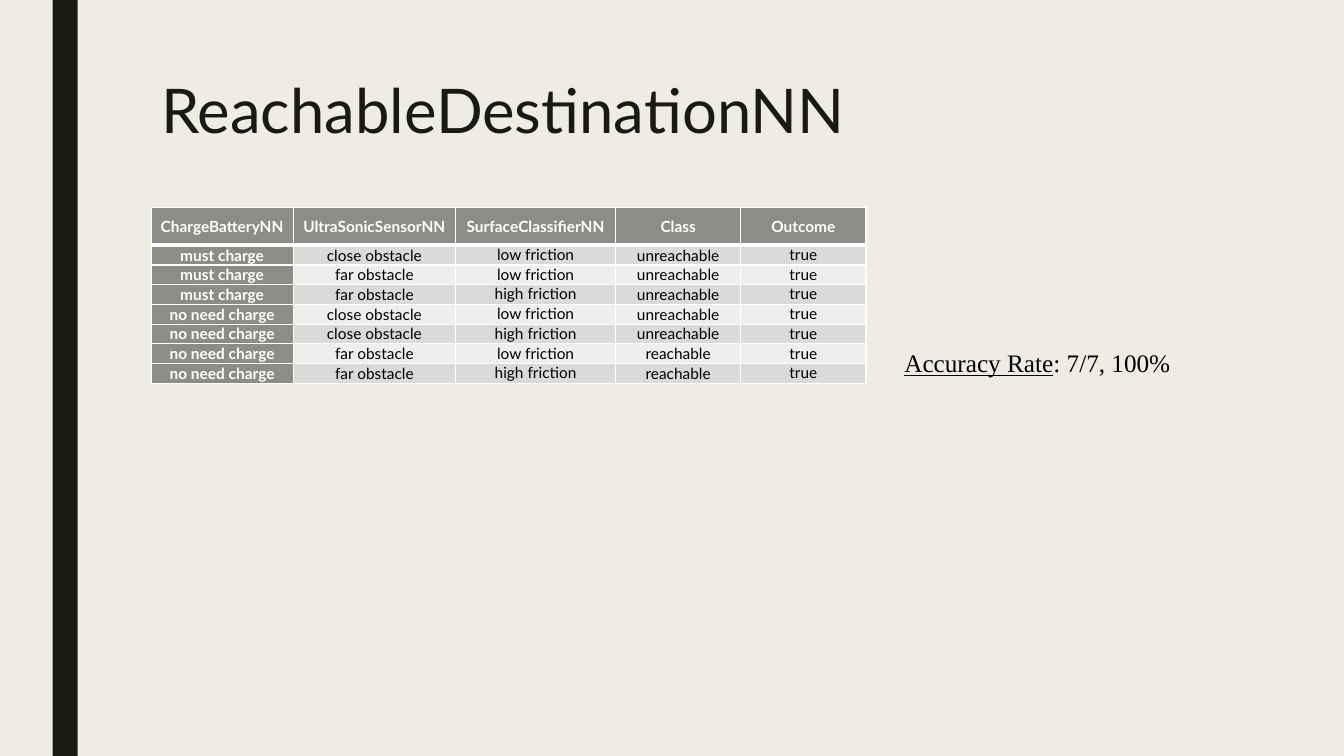
from dataclasses import dataclass

from lxml import etree
from pptx import Presentation
from pptx.dml.color import RGBColor
from pptx.enum.shapes import MSO_SHAPE
from pptx.enum.text import MSO_ANCHOR, MSO_AUTO_SIZE, PP_ALIGN
from pptx.oxml.ns import qn
from pptx.util import Emu, Inches, Pt

RECTANGLE = MSO_SHAPE.RECTANGLE
CENTER, LEFT = PP_ALIGN.CENTER, PP_ALIGN.LEFT
TOP, MIDDLE = MSO_ANCHOR.TOP, MSO_ANCHOR.MIDDLE
NO_AUTOFIT, GROW = MSO_AUTO_SIZE.NONE, MSO_AUTO_SIZE.SHAPE_TO_FIT_TEXT

# The slide is a grid of 160 columns by 90 rows
GRID_COLUMNS, GRID_ROWS = 160, 90
UNIT = Inches(1) // 12

PAPER, INK, BLACK, WHITE = "EFEDE3", "191B0E", "000000", "FFFFFF"
HEADING_FILL = "8C8D86"
BAND_FILLS = ("DADBD9", "EEEEED")

COLUMN_WIDTHS = (16.9, 19.35, 19.05, 14.9, 14.9)
HEADER_HEIGHT, ROW_HEIGHT = 4.5, 2.35
TOP_ANCHORED_COLUMNS = (2, 4)
HEADERS = ("ChargeBatteryNN", "UltraSonicSensorNN", "SurfaceClassifierNN", "Class", "Outcome")
RECORDS = (
    ("must charge", "close obstacle", "low friction", "unreachable", "true"),
    ("must charge", "far obstacle", "low friction", "unreachable", "true"),
    ("must charge", "far obstacle", "high friction", "unreachable", "true"),
    ("no need charge", "close obstacle", "low friction", "unreachable", "true"),
    ("no need charge", "close obstacle", "high friction", "unreachable", "true"),
    ("no need charge", "far obstacle", "low friction", "reachable", "true"),
    ("no need charge", "far obstacle", "high friction", "reachable", "true"),
)


@dataclass(frozen=True)
class Area:
    column: float
    row: float
    columns: float
    rows: float

    def lengths(self) -> tuple:
        return tuple(map(grid, (self.column, self.row, self.columns, self.rows)))


@dataclass(frozen=True)
class TextStyle:
    font: str
    size: float
    color: str
    bold: bool = False
    underline: bool = False


SIDE_BAR = Area(6.25, 0, 3, GRID_ROWS)
TITLE = Area(18, 9, 126, 19.5)
TABLE = Area(18, 24.7, sum(COLUMN_WIDTHS), HEADER_HEIGHT + ROW_HEIGHT * len(RECORDS))
ACCURACY = Area(106.3, 40.8, 34.4, 4.8)

TITLE_STYLE = TextStyle("Lato", 44, INK)
HEADING_STYLE = TextStyle("Lato", 11, WHITE, bold=True)
BODY_STYLE = TextStyle("Lato", 11, BLACK)
LABEL_STYLE = TextStyle("Times New Roman", 18, BLACK, underline=True)
VALUE_STYLE = TextStyle("Times New Roman", 18, BLACK)


def grid(units: float) -> Emu:
    return Emu(round(units * UNIT))


def rgb(color: str) -> RGBColor:
    return RGBColor.from_string(color)


def paint(fill, color: str) -> None:
    fill.solid()
    fill.fore_color.rgb = rgb(color)


def add_span(para, text: str, style: TextStyle) -> None:
    span = para.add_run()
    span.text = text
    span.font.name = style.font
    span.font.size = Pt(style.size)
    span.font.bold = style.bold
    span.font.underline = style.underline
    span.font.color.rgb = rgb(style.color)


def add_border(cell, side: str, width: float) -> None:
    properties = cell._tc.get_or_add_tcPr()
    line = etree.SubElement(properties, qn(f"a:ln{side}"), w=str(Pt(width)))
    solid = etree.SubElement(line, qn("a:solidFill"))
    etree.SubElement(solid, qn("a:srgbClr"), val=WHITE)


def fill_cell(cell, text: str, row: int, column: int) -> None:
    is_heading = row == 0 or column == 0
    widths = {"L": 1, "R": 1, "T": 3 if row == 1 else 1, "B": 3 if row == 0 else 1}
    for side, width in widths.items():
        add_border(cell, side, width)
    paint(cell.fill, HEADING_FILL if is_heading else BAND_FILLS[(row - 1) % 2])
    cell.margin_left = cell.margin_right = Inches(0.07)
    cell.margin_top = cell.margin_bottom = 0
    cell.vertical_anchor = TOP if row > 0 and column in TOP_ANCHORED_COLUMNS else MIDDLE
    para = cell.text_frame.paragraphs[0]
    para.alignment = CENTER
    add_span(para, text, HEADING_STYLE if is_heading else BODY_STYLE)


def add_side_bar(page) -> None:
    bar = page.shapes.add_shape(RECTANGLE, *SIDE_BAR.lengths())
    bar.shadow.inherit = False
    paint(bar.fill, INK)
    bar.line.fill.background()


def add_title(page) -> None:
    title = page.shapes.title
    title.left, title.top, title.width, title.height = TITLE.lengths()
    frame = title.text_frame
    frame.word_wrap = True
    frame.auto_size = NO_AUTOFIT
    frame.vertical_anchor = TOP
    para = frame.paragraphs[0]
    para.alignment = LEFT
    para.line_spacing = 0.89
    add_span(para, "ReachableDestinationNN", TITLE_STYLE)


def add_results_table(page) -> None:
    rows = (HEADERS, *RECORDS)
    table = page.shapes.add_table(len(rows), len(HEADERS), *TABLE.lengths()).table
    table.horz_banding = False
    for column, width in zip(table.columns, COLUMN_WIDTHS):
        column.width = grid(width)
    for row_index, texts in enumerate(rows):
        table.rows[row_index].height = grid(ROW_HEIGHT if row_index else HEADER_HEIGHT)
        for column_index, text in enumerate(texts):
            fill_cell(table.cell(row_index, column_index), text, row_index, column_index)


def add_accuracy(page) -> None:
    frame = page.shapes.add_textbox(*ACCURACY.lengths()).text_frame
    frame.word_wrap = False
    frame.auto_size = GROW
    para = frame.paragraphs[0]
    para.alignment = CENTER
    add_span(para, "Accuracy Rate", LABEL_STYLE)
    add_span(para, ": 7/7, 100%", VALUE_STYLE)


def main() -> None:
    deck = Presentation()
    deck.slide_width, deck.slide_height = grid(GRID_COLUMNS), grid(GRID_ROWS)
    page = deck.slides.add_slide(deck.slide_layouts[5])
    paint(page.background.fill, PAPER)
    add_side_bar(page)
    add_title(page)
    add_results_table(page)
    add_accuracy(page)
    deck.save("out.pptx")


if __name__ == "__main__":
    main()
